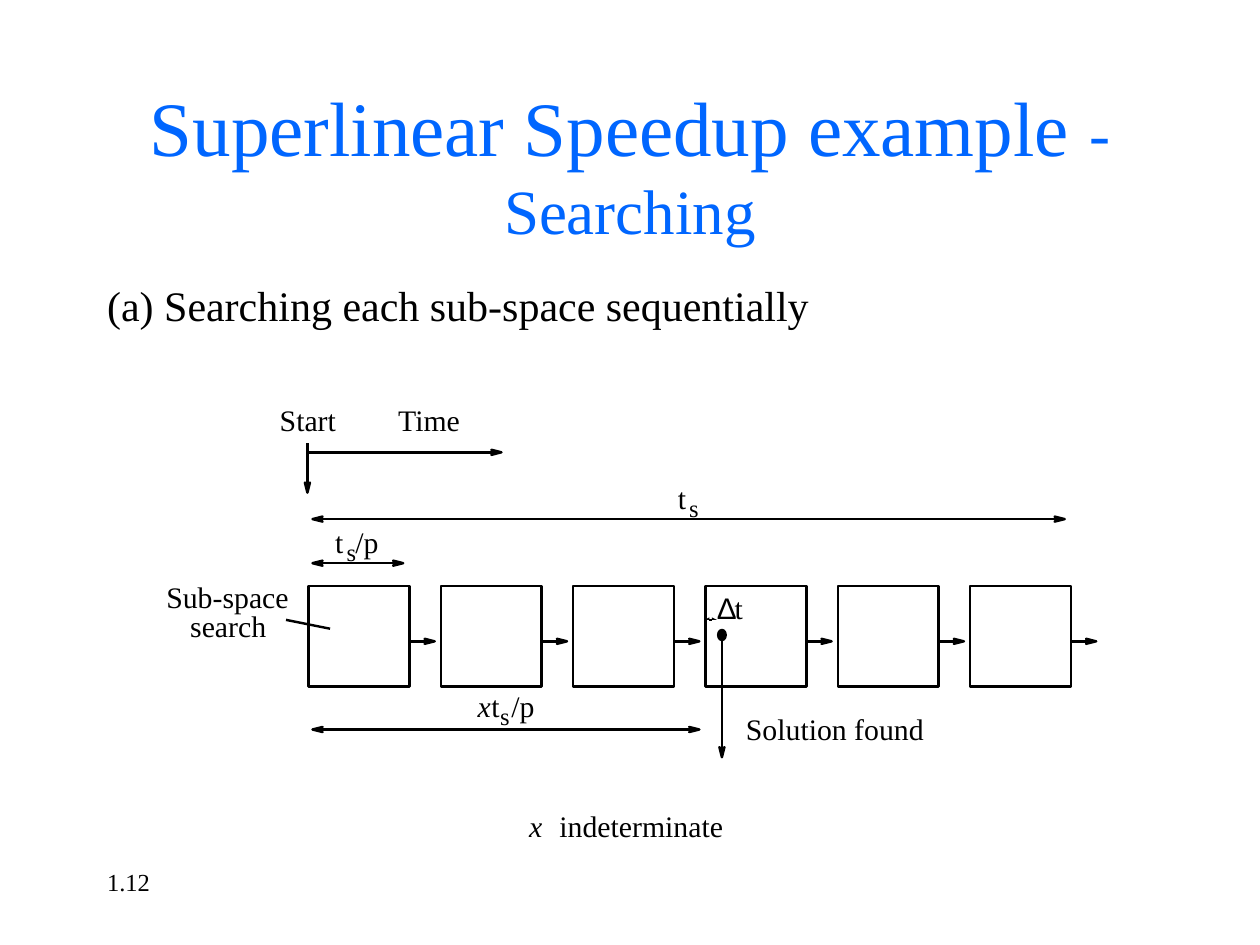
from math import hypot

from lxml import etree
from pptx import Presentation
from pptx.dml.color import RGBColor
from pptx.enum import shapes, text
from pptx.oxml import ns
from pptx.util import Inches, Pt

THEME = {
    "font": "Times New Roman", "symbol": "Arial",
    "ink": RGBColor(0, 0, 0), "title": RGBColor(0x00, 0x66, 0xFF),
    "title_pt": 44, "subtitle_pt": 36, "body_pt": 24,
    "label_pt": 17, "small_pt": 14, "line_pt": 1.39,
}

# Grid of the diagram, in inches
LEFT, TOP, BOX, PITCH, COUNT = 2.45, 4.65, 0.8, 1.05, 6
HEAD, NOTCH, HALF = 0.08, 0.06, 0.02      # arrowhead length, notch, half width
col = [LEFT + PITCH * i for i in range(COUNT + 1)]
FOUND = 3                                 # column in which the solution lies
found_x = col[FOUND] + 0.13
flow_y = 5.09

prs = Presentation()
prs.slide_width, prs.slide_height = Inches(10), Inches(7.5)
s = prs.slides.add_slide(prs.slide_layouts[1])


def label(words, x, y, w, size="label_pt", font="font", italic=False):
    sp = s.shapes.add_textbox(Inches(x), Inches(y), Inches(w), Pt(THEME[size] * 1.2))
    tf = sp.text_frame
    tf.margin_left = tf.margin_right = tf.margin_top = tf.margin_bottom = 0
    tf.word_wrap = False
    tf.text = words
    f = tf.paragraphs[0].runs[0].font
    f.name, f.size, f.italic = THEME[font], Pt(THEME[size]), italic
    f.color.rgb = THEME["ink"]


def line(x1, y1, x2, y2, start=False, end=True):
    """Straight line with notched heads at the chosen ends."""
    length = hypot(x2 - x1, y2 - y1)
    dx, dy = (x2 - x1) / length, (y2 - y1) / length
    cut1, cut2 = NOTCH * start, NOTCH * end
    c = s.shapes.add_connector(
        shapes.MSO_CONNECTOR.STRAIGHT,
        Inches(x1 + cut1 * dx), Inches(y1 + cut1 * dy),
        Inches(x2 - cut2 * dx), Inches(y2 - cut2 * dy))
    c.line.color.rgb, c.line.width = THEME["ink"], Pt(THEME["line_pt"])
    etree.SubElement(c._element.spPr, ns.qn("a:effectLst"))
    for wanted, x, y, ux, uy in ((start, x1, y1, -dx, -dy), (end, x2, y2, dx, dy)):
        if not wanted:
            continue
        pts = [(Inches(x - back * ux - side * uy), Inches(y - back * uy + side * ux))
               for back, side in ((NOTCH, 0), (HEAD, HALF), (0, 0), (HEAD, -HALF))]
        fb = s.shapes.build_freeform(*pts[0])
        fb.add_line_segments(pts[1:])
        sp = fb.convert_to_shape()
        sp.shadow.inherit = False
        sp.fill.solid()
        sp.fill.fore_color.rgb = sp.line.color.rgb = THEME["ink"]
        sp.line.width = Pt(THEME["line_pt"])


# Title and body
title, body = s.shapes.title, s.placeholders[1]
for sp, y, h in ((title, 0.67, 1.25), (body, 2.17, 0.67)):
    sp.left, sp.top, sp.width, sp.height = map(Inches, (0.75, y, 8.5, h))
    sp.text_frame.auto_size = text.MSO_AUTO_SIZE.NONE
title.text_frame.vertical_anchor = text.MSO_ANCHOR.MIDDLE
p = title.text_frame.paragraphs[0]
p.alignment = text.PP_ALIGN.CENTER
for words, size in (("Superlinear Speedup example ", "title_pt"),
                    ("- Searching", "subtitle_pt")):
    r = p.add_run()
    r.text = words
    r.font.name, r.font.size = THEME["font"], Pt(THEME[size])
    r.font.color.rgb = THEME["title"]

body.text_frame.text = "(a) Searching each sub-space sequentially"
p = body.text_frame.paragraphs[0]
p.space_before = Pt(6)
pPr = p._p.get_or_add_pPr()
pPr.set("marL", str(Inches(0.38)))
pPr.set("indent", str(Inches(-0.38)))
etree.SubElement(pPr, ns.qn("a:buNone"))
f = p.runs[0].font
f.name, f.size = THEME["font"], Pt(THEME["body_pt"])
f.color.rgb = THEME["ink"]

# Sub-space boxes, each with an arrow to the next
for x in col[:COUNT]:
    sp = s.shapes.add_shape(shapes.MSO_SHAPE.RECTANGLE,
                            Inches(x), Inches(TOP), Inches(BOX), Inches(BOX))
    sp.shadow.inherit = False
    sp.fill.background()
    sp.line.color.rgb, sp.line.width = THEME["ink"], Pt(THEME["line_pt"])
    line(x + BOX, flow_y, x + PITCH - 0.05, flow_y)

# Start mark and time axis
line(2.44, 3.52, 2.44, 3.91)
line(2.44, 3.59, 3.98, 3.59)

# Measures of duration
for y, end_x in ((4.12, col[5] + 0.75), (4.47, col[0] + 0.75), (5.79, col[FOUND] - 0.05)):
    line(LEFT + 0.03, y, end_x, y, start=True)

# Solution mark, pointer to the first box
line(found_x, 5.03, found_x, 6.01)
sp = s.shapes.add_shape(shapes.MSO_SHAPE.OVAL, Inches(found_x - 0.03), Inches(5),
                        Inches(0.06), Inches(0.08))
sp.shadow.inherit = False
sp.fill.solid()
sp.fill.fore_color.rgb = sp.line.color.rgb = THEME["ink"]
sp.line.width = Pt(THEME["line_pt"])
line(2.27, 4.92, 2.62, 4.99, end=False)

# Small double arrow that spans delta t
line(5.63, 4.92, 5.65, 4.92, end=False)
for base, tip in ((5.63, 5.59), (5.65, 5.69)):
    fb = s.shapes.build_freeform(Inches(base), Inches(4.9))
    fb.add_line_segments([(Inches(base), Inches(4.92)), (Inches(tip), Inches(4.92))])
    sp = fb.convert_to_shape()
    sp.shadow.inherit = False
    sp.fill.solid()
    sp.fill.fore_color.rgb = THEME["ink"]
    sp.line.fill.background()

# Labels
for words, x, y, w in (
        ("Start", 2.22, 3.19, 0.48), ("Time", 3.16, 3.19, 0.52),
        ("Sub-space", 1.32, 4.59, 1.0), ("search", 1.51, 4.82, 0.64),
        ("t", 5.83, 4.68, 0.08), ("Solution found", 5.92, 5.64, 1.45),
        ("indeterminate", 4.44, 6.41, 1.34),
        ("/p", 2.82, 4.16, 0.2), ("/p", 4.06, 5.46, 0.2)):
    label(words, x, y, w)
for x, y in ((3.79, 5.46), (4.2, 6.41)):
    label("x", x, y, 0.12, italic=True)
for x, y, gap in ((5.38, 3.81, 0.09), (2.66, 4.16, 0.09), (3.9, 5.46, 0.07)):
    label("t", x, y, 0.08)
    label("s", x + gap, y + 0.1, 0.09, "small_pt")
label("Δ", 5.69, 4.68, 0.17, font="symbol")

# Page number
label("1.12", 0.85, 6.88, 0.4, "small_pt")

prs.save("out.pptx")
